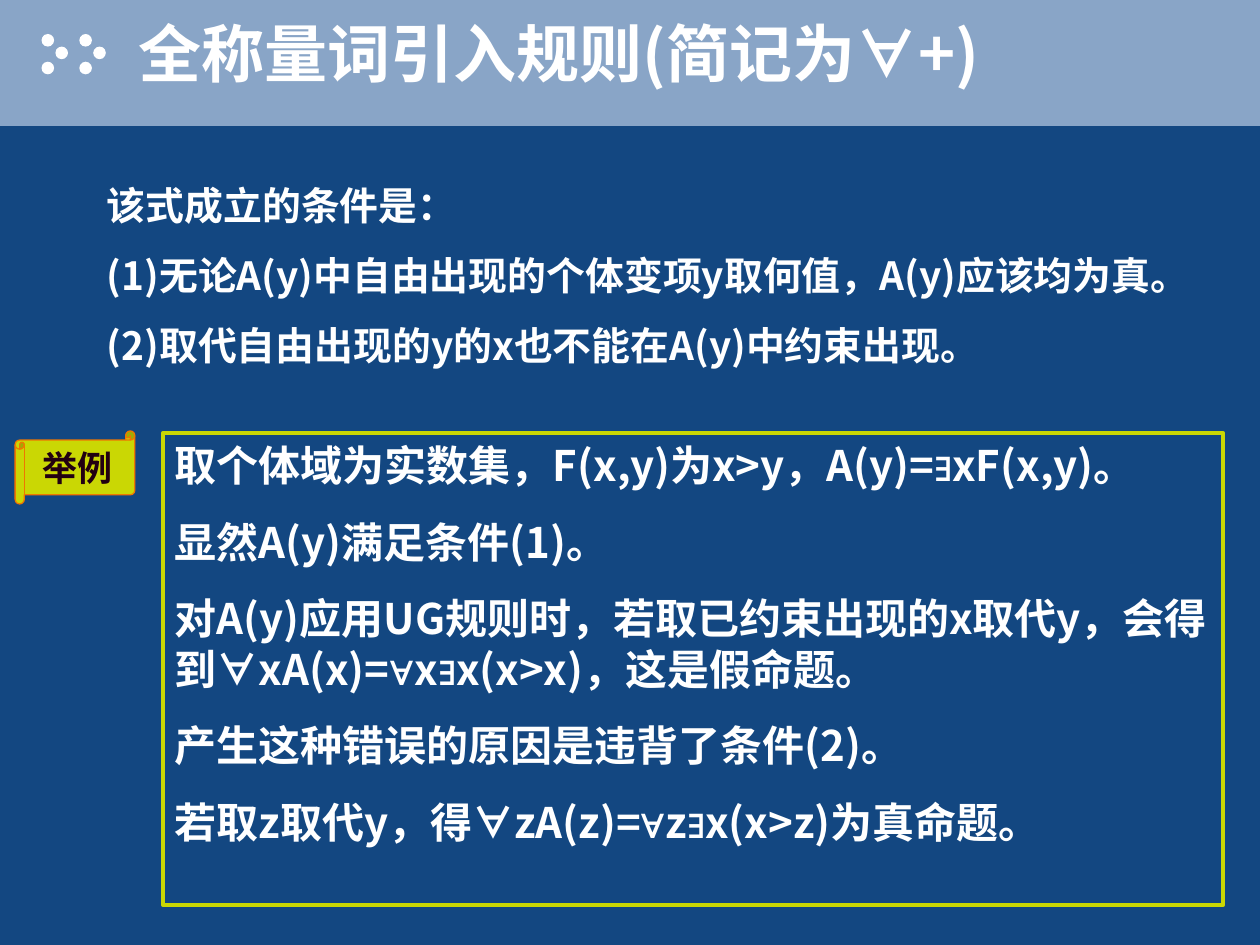
from lxml.etree import SubElement
from pptx import Presentation
from pptx.dml.color import RGBColor
from pptx.enum.shapes import MSO_SHAPE
from pptx.enum.text import MSO_ANCHOR, PP_ALIGN
from pptx.oxml.ns import qn
from pptx.util import Inches, Pt

COLORS = {
    "background": "134781",
    "banner": "89A5C7",
    "white": "FFFFFF",
    "accent": "CAD704",
    "scroll_line": "F07600",
    "dark": "220011",
}
TEXT_FONT = "Noto Sans CJK SC"
SYMBOL_FONT = "Arial"
QUANTIFIERS = "∀∃"

CONDITIONS = [
    "该式成立的条件是：",
    "(1)无论A(y)中自由出现的个体变项y取何值，A(y)应该均为真。",
    "(2)取代自由出现的y的x也不能在A(y)中约束出现。",
]
EXAMPLE = [
    "取个体域为实数集，F(x,y)为x>y，A(y)=∃xF(x,y)。",
    "显然A(y)满足条件(1)。",
    "对A(y)应用UG规则时，若取已约束出现的x取代y，会得到∀xA(x)=∀x∃x(x>x)，这是假命题。",
    "产生这种错误的原因是违背了条件(2)。",
    "若取z取代y，得∀zA(z)=∀z∃x(x>z)为真命题。",
]


def color(name):
    return RGBColor.from_string(COLORS[name])


def split_quantifiers(text):
    """Split text into pieces, each quantifier on its own."""
    for symbol in QUANTIFIERS:
        text = text.replace(symbol, f"\n{symbol}\n")
    return [piece for piece in text.split("\n") if piece]


def add_text_shadow(run):
    effects = SubElement(run.font._element, qn("a:effectLst"))
    shadow = SubElement(effects, qn("a:outerShdw"), dist="35921", dir="2700000")
    SubElement(shadow, qn("a:srgbClr"), val=COLORS["dark"])


def write_text(shape, paragraphs, size, font=TEXT_FONT, fill="white", gap=0,
               align=PP_ALIGN.LEFT, anchor=MSO_ANCHOR.TOP, shadow=False):
    frame = shape.text_frame
    frame.word_wrap = True
    frame.vertical_anchor = anchor
    for index, text in enumerate(paragraphs):
        paragraph = frame.add_paragraph() if index else frame.paragraphs[0]
        paragraph.alignment = align
        paragraph.space_before = Pt(gap if index else 0)
        for piece in split_quantifiers(text):
            run = paragraph.add_run()
            run.text = piece
            run.font.size = Pt(size)
            run.font.bold = True
            run.font.color.rgb = color(fill)
            if shadow:
                add_text_shadow(run)
            run.font.name = SYMBOL_FONT if piece in QUANTIFIERS else font
            SubElement(run.font._element, qn("a:ea"), typeface=TEXT_FONT)


def add_shape(slide, kind, box, fill=None, line=None, line_width=0.75):
    shape = slide.shapes.add_shape(kind, *map(Inches, box))
    shape.shadow.inherit = False
    if fill:
        shape.fill.solid()
        shape.fill.fore_color.rgb = color(fill)
    else:
        shape.fill.background()
    if line:
        shape.line.color.rgb = color(line)
        shape.line.width = Pt(line_width)
    else:
        shape.line.fill.background()
    return shape


def add_text_box(slide, box, paragraphs, **text_format):
    write_text(slide.shapes.add_textbox(*map(Inches, box)), paragraphs, **text_format)


def add_banner(slide, box):
    left, top, width, height = box
    add_shape(slide, MSO_SHAPE.RECTANGLE, box, fill="banner")
    for cluster in (0.33, 0.63):
        for x, y in ((0, 0.27), (0.11, 0.37), (0, 0.49)):
            dot = (left + cluster + x, top + y, 0.1, 0.1)
            add_shape(slide, MSO_SHAPE.OVAL, dot, fill="white")
    add_text_box(slide, (left + 1, top, width - 1, 0.83),
                 ["全称量词引入规则(简记为∀+)"],
                 size=36, anchor=MSO_ANCHOR.MIDDLE, shadow=True)


def add_conditions(slide, box):
    add_text_box(slide, box, CONDITIONS, size=22.2, gap=13.5, align=PP_ALIGN.JUSTIFY)


def add_example_label(slide, box):
    scroll = add_shape(slide, MSO_SHAPE.HORIZONTAL_SCROLL, box,
                       fill="accent", line="scroll_line")
    write_text(scroll, ["举例"], size=20, font=SYMBOL_FONT, fill="dark",
               align=PP_ALIGN.CENTER, anchor=MSO_ANCHOR.MIDDLE)


def add_example(slide, box):
    frame = add_shape(slide, MSO_SHAPE.RECTANGLE, box, line="accent", line_width=2.25)
    write_text(frame, EXAMPLE, size=24, gap=15)


def main():
    presentation = Presentation()
    presentation.slide_width = Inches(10)
    presentation.slide_height = Inches(7.5)
    slide = presentation.slides.add_slide(presentation.slide_layouts[6])
    slide.background.fill.solid()
    slide.background.fill.fore_color.rgb = color("background")
    add_banner(slide, (0, 0, 10, 1))
    add_conditions(slide, (0.75, 1.39, 9.75, 1.83))
    add_example_label(slide, (0.12, 3.42, 0.95, 0.58))
    add_example(slide, (1.29, 3.44, 8.42, 3.74))
    presentation.save("out.pptx")


if __name__ == "__main__":
    main()
